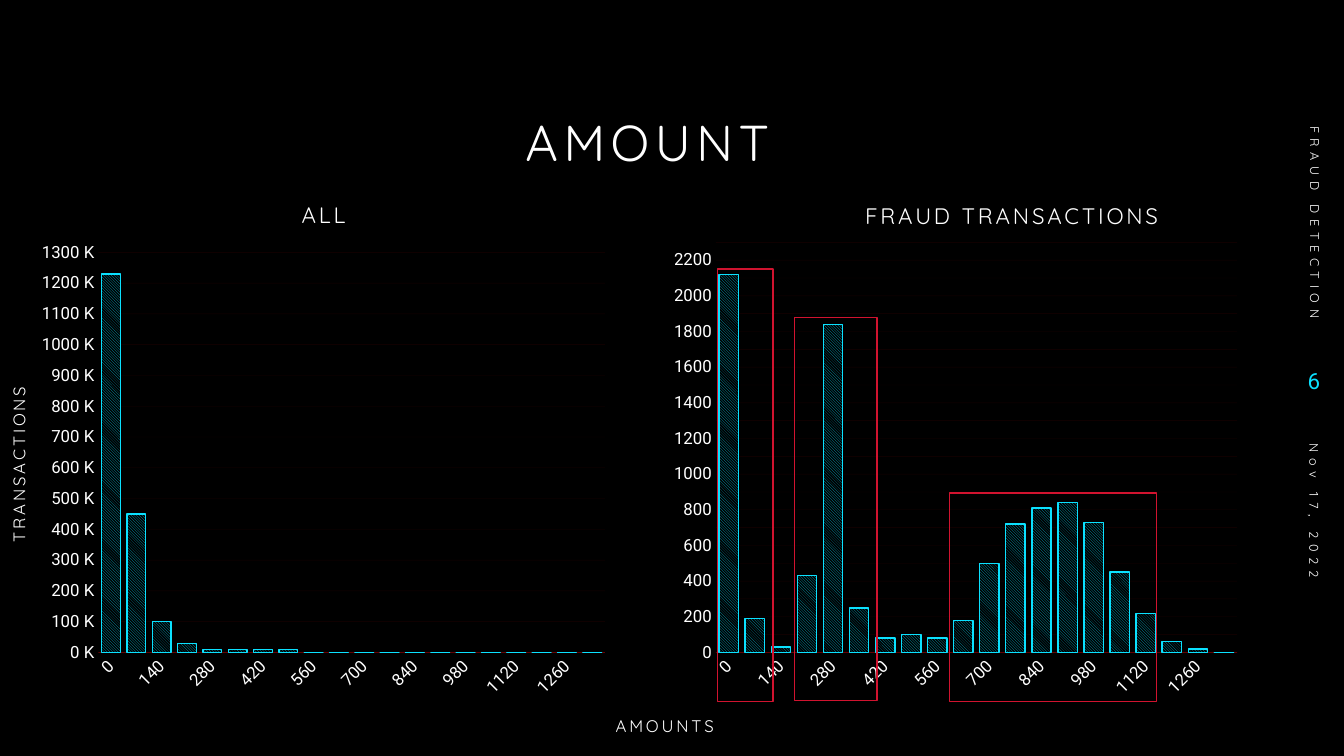
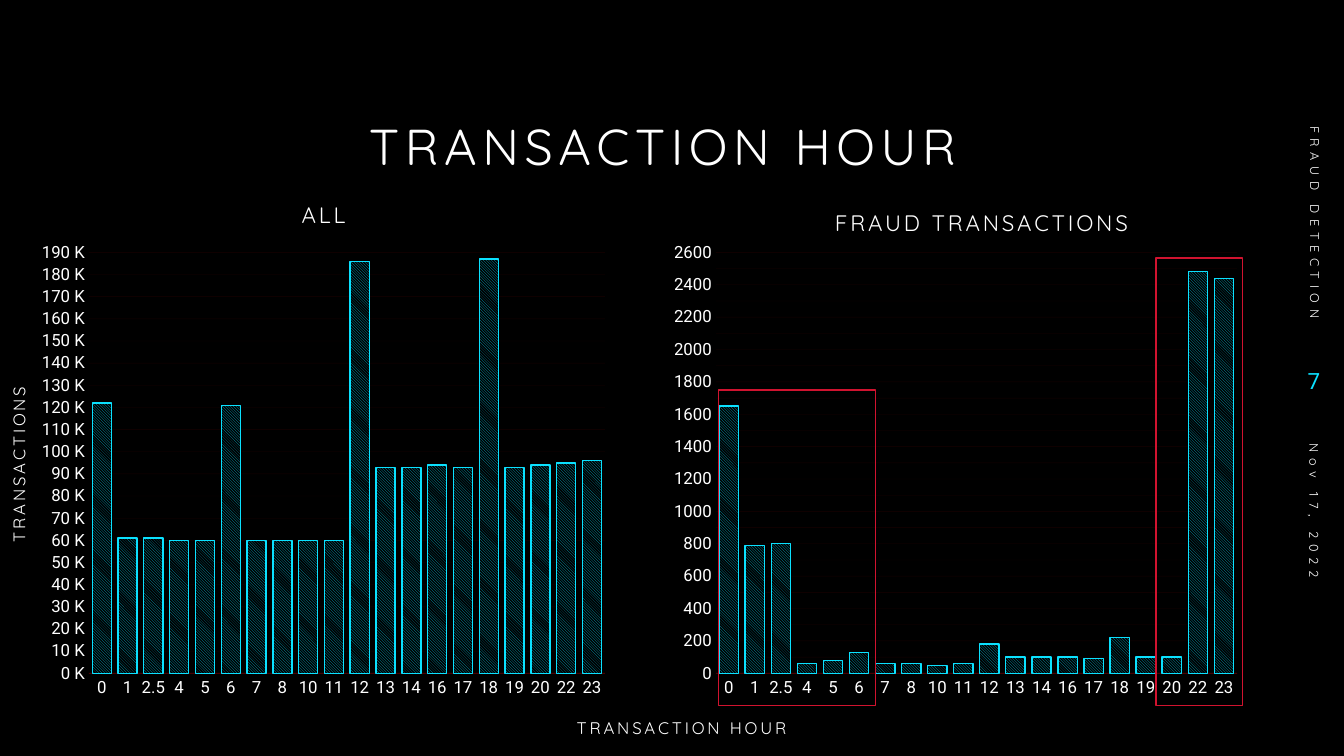
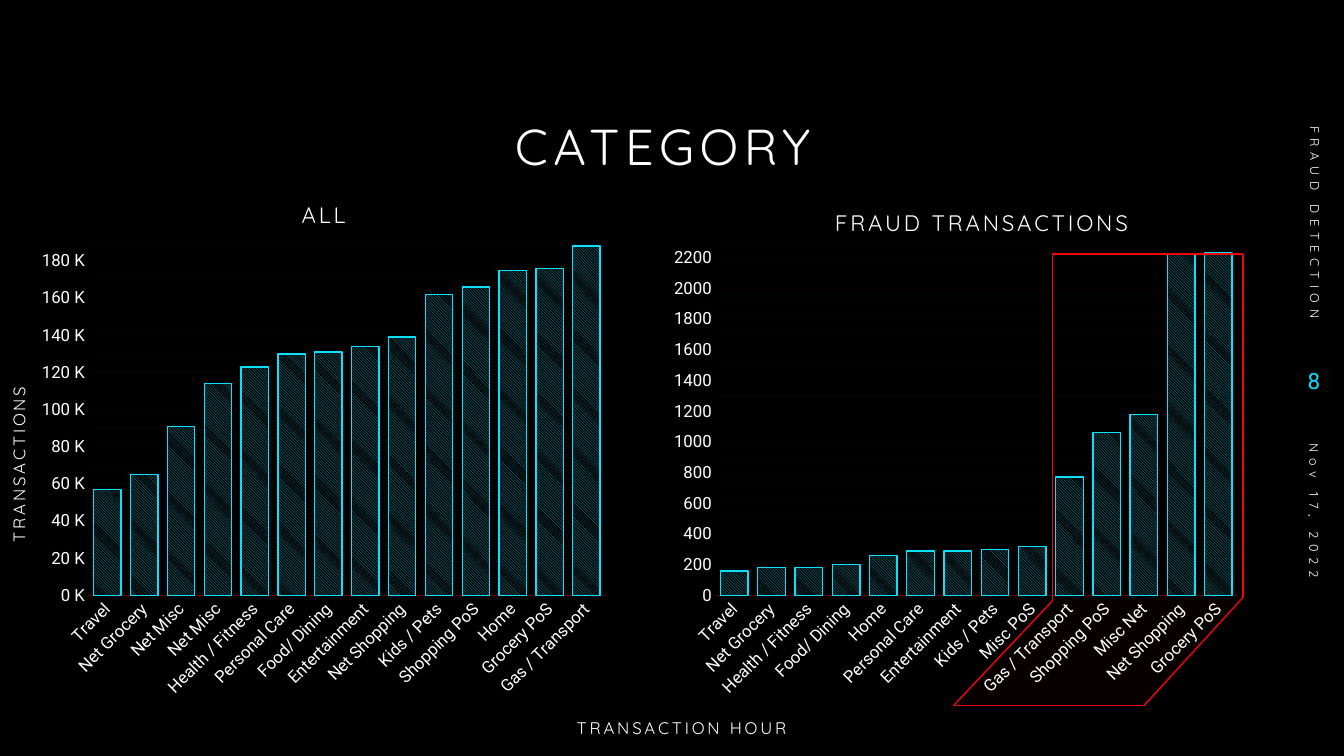
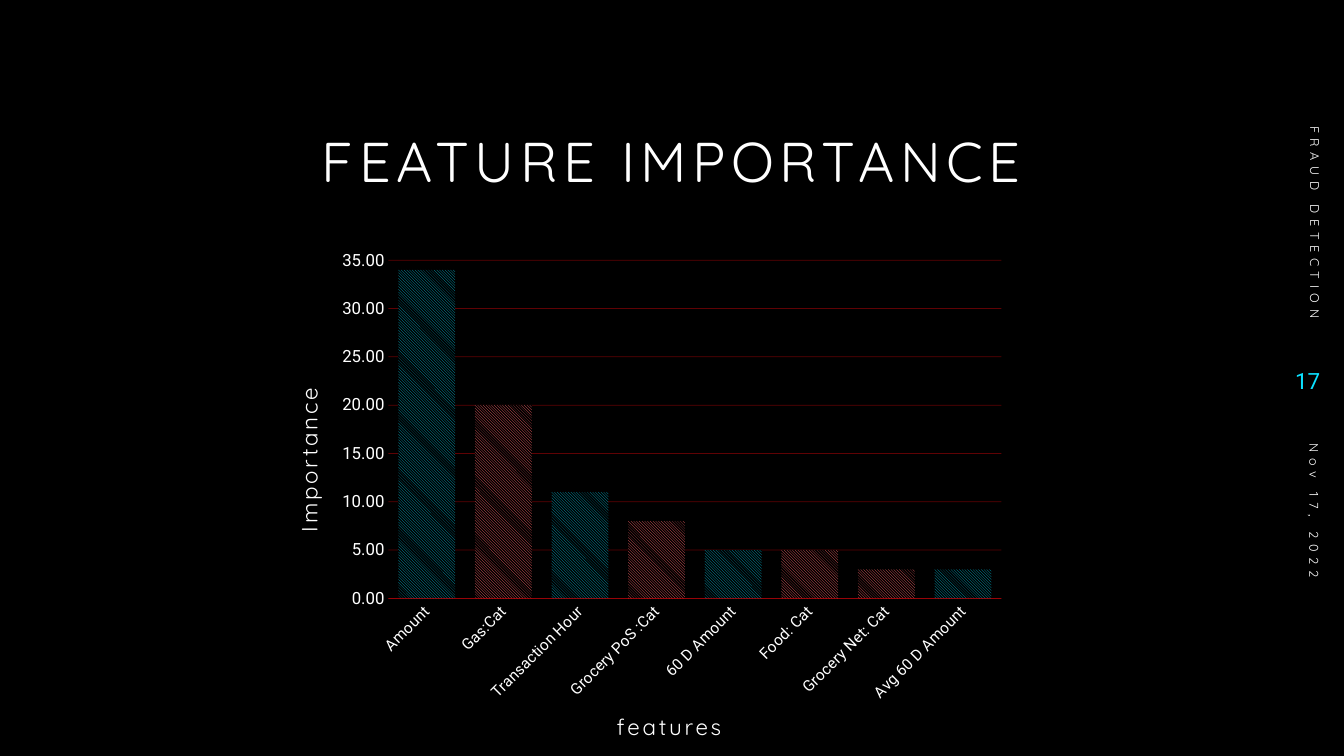
from lxml.etree import SubElement
from pptx import Presentation
from pptx.chart.data import CategoryChartData
from pptx.dml.color import RGBColor
from pptx.enum.chart import XL_CHART_TYPE, XL_TICK_MARK
from pptx.enum.dml import MSO_PATTERN
from pptx.enum.shapes import MSO_CONNECTOR, MSO_SHAPE
from pptx.enum.text import MSO_ANCHOR, PP_ALIGN
from pptx.oxml.ns import qn
from pptx.util import Cm, Pt

BLACK = RGBColor(0x00, 0x00, 0x00)
WHITE = RGBColor(0xFF, 0xFF, 0xFF)
CYAN = RGBColor(0x0B, 0xE1, 0xFF)
TEAL = RGBColor(0x00, 0xAF, 0xC8)
CORAL = RGBColor(0xFC, 0x63, 0x67)
RED = RGBColor(0xEF, 0x05, 0x0C)
CRIMSON = RGBColor(0xD1, 0x13, 0x2F)
MAROON = RGBColor(0x78, 0x02, 0x06)

ALL_CHART = (0.76, 5.87, 14.78, 11.94)
FRAUD_CHART = (16.69, 5.87, 14.78, 11.94)
THOUSANDS = r"###0,\ \K"

AMOUNTS = [str(amount) for amount in range(0, 1331, 70)]
HOURS = ["0", "1", "2.5", "4", "5", "6", "7", "8", "10", "11",
         "12", "13", "14", "16", "17", "18", "19", "20", "22", "23"]
ALL_CATEGORIES = {
    "names": ["Travel", "Net Grocery", "Net Misc", "Net Misc", "Health / Fitness",
              "Personal Care", "Food/ Dining", "Entertainment", "Net Shopping",
              "Kids / Pets", "Shopping PoS", "Home", "Grocery PoS", "Gas / Transport"],
    "thousands": [57, 65, 91, 114, 123, 130, 131, 134, 139, 162, 166, 175, 176, 188],
}
FRAUD_CATEGORIES = {
    "Travel": 160, "Net Grocery": 180, "Health / Fitness": 180, "Food/ Dining": 200,
    "Home": 260, "Personal Care": 290, "Entertainment": 290, "Kids / Pets": 300,
    "Misc PoS": 320, "Gas / Transport": 770, "Shopping PoS": 1060, "Misc Net": 1180,
    "Net Shopping": 2220, "Grocery PoS": 2230,
}
FEATURES = {
    "Amount": 34, "Gas:Cat": 20, "Transaction Hour": 11, "Grocery PoS :Cat": 8,
    "60 D Amount": 5, "Food: Cat": 5, "Grocery Net: Cat": 3, "Avg 60 D Amount": 3,
}


def in_thousands(values):
    """Scale values given in thousands to full counts."""
    return [value * 1000 for value in values]


def fade(properties, percent):
    """Give every colour below an element this opacity."""
    for color in properties.iter(qn("a:srgbClr")):
        SubElement(color, qn("a:alpha")).set("val", str(percent * 1000))


def set_hatch(fill, color):
    """Fill with thin diagonal hatching on black."""
    fill.patterned()
    fill.pattern = MSO_PATTERN.LIGHT_DOWNWARD_DIAGONAL
    fill.fore_color.rgb = color
    fill.back_color.rgb = BLACK


def set_red_line(chart_format, width, percent):
    """Draw an axis or grid line in translucent red."""
    chart_format.line.color.rgb = RED
    chart_format.line.width = Pt(width)
    fade(chart_format._element.find(qn("c:spPr")), percent)


class FraudDeck:
    """Hold the deck style and the current page."""

    def __init__(self):
        """Open a black widescreen deck."""
        self.deck = Presentation()
        self.deck.slide_width, self.deck.slide_height = Cm(33.87), Cm(19.05)
        background = self.deck.slide_master.background.fill
        background.solid()
        background.fore_color.rgb = BLACK
        self.page = None

    def add_text(self, text, place, size=16, font="Quicksand", color=WHITE, spacing=2,
                 align=PP_ALIGN.CENTER, anchor=MSO_ANCHOR.TOP, line_spacing=0.9, rotation=0):
        """Add one formatted line of text."""
        box = self.page.shapes.add_textbox(*map(Cm, place))
        box.rotation = rotation
        frame = box.text_frame
        frame.word_wrap = True
        frame.vertical_anchor = anchor
        if align == PP_ALIGN.CENTER:
            frame.margin_left = frame.margin_right = 0
        para = frame.paragraphs[0]
        para.alignment = align
        para.line_spacing = line_spacing
        span = para.add_run()
        span.text = text
        span.font.name = font
        span.font.size = Pt(size)
        span.font.color.rgb = color
        if spacing:
            span._r.get_or_add_rPr().set("spc", str(spacing * 100))

    def add_page(self, title, number, place, size=36):
        """Start a page with its title and side band."""
        self.page = self.deck.slides.add_slide(self.deck.slide_layouts[6])
        self.add_text(title, place, size=size, spacing=4, anchor=MSO_ANCHOR.BOTTOM)
        band = {"anchor": MSO_ANCHOR.MIDDLE, "line_spacing": 1.0}
        self.add_text("FRAUD DETECTION", (29.29, 3.91, 7.7, 1.02), size=9, spacing=4,
                      align=PP_ALIGN.RIGHT, rotation=90, **band)
        self.add_text(str(number), (32, 8.79, 1.52, 1.6), font="Roboto", color=CYAN,
                      spacing=0, align=PP_ALIGN.RIGHT, **band)
        self.add_text("Nov 17, 2022", (29.44, 14.1, 7.37, 1.02), size=9, spacing=4,
                      align=PP_ALIGN.LEFT, rotation=90, **band)

    def add_comparison_labels(self, fraud_place, axis_text, axis_place):
        """Label a pair of charts and their shared axes."""
        self.add_text("ALL", (7.29, 5.03, 1.73, 0.64))
        self.add_text("FRAUD TRANSACTIONS", fraud_place)
        self.add_text("TRANSACTIONS", (-1.88, 11.38, 4.7, 0.64), size=12, rotation=270)
        self.add_text(axis_text, axis_place, size=12)

    def add_columns(self, place, names, values, maximum, step, number_format="0",
                    slanted=True, label_size=12, grid=(0.25, 9), outlined=True, coral=()):
        """Add a hatched column chart."""
        data = CategoryChartData()
        data.categories = names
        data.add_series("Series 1", values)
        chart = self.page.shapes.add_chart(
            XL_CHART_TYPE.COLUMN_CLUSTERED, *map(Cm, place), data).chart
        chart.has_legend = False
        chart.has_title = False
        chart.font.name = "Roboto"
        chart.font.size = Pt(10)
        chart.font.color.rgb = BLACK

        for axis, size in ((chart.category_axis, label_size), (chart.value_axis, 12)):
            axis.major_tick_mark = axis.minor_tick_mark = XL_TICK_MARK.NONE
            font = axis.tick_labels.font
            font.name = "Roboto"
            font.size = Pt(size)
            font.color.rgb = WHITE
        category_axis, value_axis = chart.category_axis, chart.value_axis
        set_red_line(category_axis.format, 0.5, 40)
        label_body = category_axis._element.find(qn("c:txPr")).find(qn("a:bodyPr"))
        label_body.set("rot", "-2700000" if slanted else "0")
        label_body.set("vert", "horz")
        value_axis.minimum_scale = 0
        value_axis.maximum_scale = maximum
        value_axis.major_unit = step
        value_axis.format.line.fill.background()
        set_red_line(value_axis.major_gridlines.format, *grid)
        value_axis.tick_labels.number_format = number_format
        value_axis.tick_labels.number_format_is_linked = False

        plot = chart.plots[0]
        plot.vary_by_categories = False
        plot.gap_width = 35
        plot.overlap = -100
        series = plot.series[0]
        series.invert_if_negative = False
        set_hatch(series.format.fill, TEAL)
        if outlined:
            series.format.line.color.rgb = CYAN
            series.format.line.width = Pt(1)
        for index in coral:
            set_hatch(series.points[index].format.fill, CORAL)

    def add_frame(self, *place):
        """Outline a group of columns."""
        frame = self.page.shapes.add_shape(MSO_SHAPE.RECTANGLE, *map(Cm, place))
        frame.shadow.inherit = False
        frame.fill.background()
        frame.line.color.rgb = CRIMSON
        frame.line.width = Pt(1)

    def add_slanted_tint(self, place, slant):
        """Tint the area behind slanted labels."""
        tint = self.page.shapes.add_shape(MSO_SHAPE.PARALLELOGRAM, *map(Cm, place))
        tint.adjustments[0] = slant
        tint.shadow.inherit = False
        tint.fill.solid()
        tint.fill.fore_color.rgb = MAROON
        fade(tint._element.spPr, 5)
        tint.line.color.rgb = BLACK
        tint.line.width = Pt(1)

    def add_outline(self, corners):
        """Join corners with lines into a closed outline."""
        for start, end in zip(corners, corners[1:] + corners[:1]):
            line = self.page.shapes.add_connector(
                MSO_CONNECTOR.STRAIGHT, *map(Cm, start + end))
            line.line.color.rgb = RED
            line.line.width = Pt(1)
            SubElement(line._element.spPr, qn("a:effectLst"))


def add_amount_page(show):
    """Build the amount page."""
    show.add_page("AMOUNT", 6, (8.71, 2.57, 15.21, 1.9))
    show.add_comparison_labels((21.54, 5.05, 7.92, 0.84), "AMOUNTS",
                               (15.14, 17.96, 3.23, 0.64))
    show.add_columns(ALL_CHART, AMOUNTS,
                     in_thousands([1230, 450, 100, 30] + [10] * 4 + [0] * 12),
                     1300000, 100000, THOUSANDS)
    show.add_columns(FRAUD_CHART, AMOUNTS,
                     [2120, 190, 30, 430, 1840, 250, 80, 100, 80, 180,
                      500, 720, 810, 840, 730, 450, 220, 60, 20, 0], 2300, 100)
    show.add_frame(23.93, 12.42, 5.21, 5.26)
    show.add_frame(18.08, 6.78, 1.4, 10.9)
    show.add_frame(20.02, 8, 2.08, 9.65)


def add_hour_page(show):
    """Build the transaction hour page."""
    show.add_page("TRANSACTION HOUR", 7, (8.64, 2.67, 16.13, 1.9))
    show.add_comparison_labels((20.78, 5.21, 7.92, 0.64), "TRANSACTION HOUR",
                               (14.12, 18.03, 6.12, 0.81))
    show.add_columns(ALL_CHART, HOURS,
                     in_thousands([122, 61, 61, 60, 60, 121, 60, 60, 60, 60,
                                   186, 93, 93, 94, 93, 187, 93, 94, 95, 96]),
                     190000, 10000, THOUSANDS, slanted=False)
    show.add_columns(FRAUD_CHART, HOURS,
                     [1650, 790, 800, 60, 80, 130, 60, 60, 50, 60,
                      180, 100, 100, 100, 90, 220, 100, 100, 2480, 2440],
                     2600, 100, slanted=False)
    show.add_frame(29.13, 6.5, 2.18, 11.28)
    show.add_frame(18.11, 9.83, 3.96, 7.95)


def add_category_page(show):
    """Build the category page."""
    show.add_page("CATEGORY", 8, (8.64, 2.67, 16.13, 1.9))
    show.add_slanted_tint((24.03, 15.04, 7.44, 2.72), 0.93)
    show.add_comparison_labels((20.78, 5.21, 7.92, 0.64), "TRANSACTION HOUR",
                               (14.12, 18.03, 6.12, 0.81))
    show.add_columns(ALL_CHART, ALL_CATEGORIES["names"],
                     in_thousands(ALL_CATEGORIES["thousands"]), 190000, 10000, THOUSANDS)
    show.add_columns(FRAUD_CHART, list(FRAUD_CATEGORIES), list(FRAUD_CATEGORIES.values()),
                     2300, 100)
    show.add_outline([(26.52, 6.4), (26.52, 15.14), (24.03, 17.78),
                      (28.83, 17.78), (31.32, 15.06), (31.32, 6.4)])


def add_importance_page(show):
    """Build the feature importance page."""
    show.add_page("FEATURE IMPORTANCE", 17, (7.54, 3.12, 18.77, 1.9), size=40)
    show.add_columns((8.28, 6.07, 17.3, 11.86), list(FEATURES), list(FEATURES.values()),
                     35, 5, "0.00", label_size=11, grid=(0.5, 40), outlined=False,
                     coral=(1, 3, 5, 6))
    show.add_text("features", (15.29, 17.93, 3.28, 1.24), align=PP_ALIGN.LEFT)
    show.add_text("Importance", (5.79, 10.97, 4.45, 1.24), rotation=270)


def main():
    """Build and save the deck."""
    show = FraudDeck()
    add_amount_page(show)
    add_hour_page(show)
    add_category_page(show)
    add_importance_page(show)
    show.deck.save("out.pptx")


if __name__ == "__main__":
    main()
